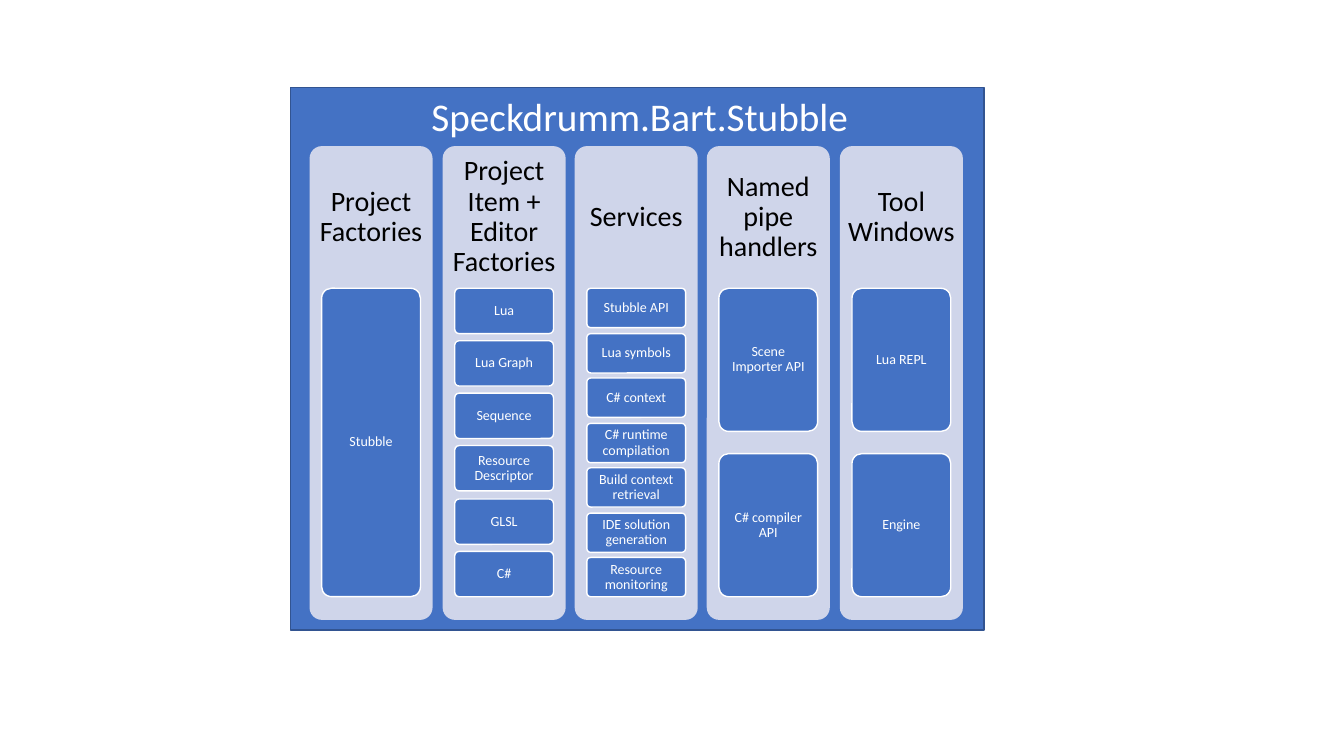
from dataclasses import dataclass

import pptx
import pptx.dml.color
import pptx.enum.shapes
import pptx.enum.text
import pptx.util

PX = 9144  # EMU in one px, 100 px to the inch
COLORS = {
    "blue": "4472C4",
    "edge": "325491",
    "pale": "CFD5EA",
    "white": "FFFFFF",
    "black": "000000",
}
SHAPES = pptx.enum.shapes.MSO_SHAPE
ANCHOR = pptx.enum.text.MSO_ANCHOR
CENTER = pptx.enum.text.PP_ALIGN.CENTER

COLUMN_LEFT, COLUMN_SPAN, COLUMN_TOP = 307, 526, 145
COLUMN_WIDTH, COLUMN_HEIGHT, HEADING_HEIGHT = 122, 470, 141
ITEM_INDENT, ITEM_TOP, ITEM_WIDTH, STACK_HEIGHT = 12, 286, 98, 306
GAP_RATIO = 2 / 13  # gap between items as a share of item height


@dataclass(frozen=True)
class Box:
    left: int
    top: int
    width: int
    height: int

    def emu(self) -> tuple[int, int, int, int]:
        return self.left * PX, self.top * PX, self.width * PX, self.height * PX


@dataclass(frozen=True)
class Column:
    heading: str
    items: tuple[str, ...]


@dataclass(frozen=True)
class TextStyle:
    size: int
    color: str
    anchor: ANCHOR
    inset_x: int
    inset_y: int
    line_spacing: float


TITLE_STYLE = TextStyle(28, "white", ANCHOR.TOP, 10, 5, 1.0)
HEADING_STYLE = TextStyle(20, "black", ANCHOR.MIDDLE, 7, 8, 0.9)
ITEM_STYLE = TextStyle(10, "white", ANCHOR.MIDDLE, 3, 2, 0.9)

COLUMNS = (
    Column("Project Factories", ("Stubble",)),
    Column("Project Item + Editor Factories",
           ("Lua", "Lua Graph", "Sequence", "Resource Descriptor", "GLSL", "C#")),
    Column("Services",
           ("Stubble API", "Lua symbols", "C# context", "C# runtime compilation",
            "Build context retrieval", "IDE solution generation",
            "Resource monitoring")),
    Column("Named pipe handlers", ("Scene Importer API", "C# compiler API")),
    Column("Tool Windows", ("Lua REPL", "Engine")),
)


def rgb(name: str) -> pptx.dml.color.RGBColor:
    return pptx.dml.color.RGBColor.from_string(COLORS[name])


def apply(target, values: dict) -> None:
    for attribute, value in values.items():
        setattr(target, attribute, value)


def write(shape, text: str, style: TextStyle) -> None:
    frame = shape.text_frame
    frame.text = text
    apply(frame, {
        "word_wrap": True,
        "auto_size": pptx.enum.text.MSO_AUTO_SIZE.NONE,
        "vertical_anchor": style.anchor,
        "margin_left": style.inset_x * PX,
        "margin_right": style.inset_x * PX,
        "margin_top": style.inset_y * PX,
        "margin_bottom": style.inset_y * PX,
    })
    paragraph = frame.paragraphs[0]
    apply(paragraph, {"alignment": CENTER, "line_spacing": style.line_spacing})
    font = paragraph.runs[0].font
    apply(font, {"name": "Calibri", "size": pptx.util.Pt(style.size)})
    font.color.rgb = rgb(style.color)


def add_panel(slide, kind: SHAPES, box: Box, fill: str, line: str | None = None):
    panel = slide.shapes.add_shape(kind, *box.emu())
    panel.shadow.inherit = False
    panel.fill.solid()
    panel.fill.fore_color.rgb = rgb(fill)
    if line:
        panel.line.color.rgb = rgb(line)
        panel.line.width = pptx.util.Pt(1)
    else:
        panel.line.fill.background()
    if kind == SHAPES.ROUNDED_RECTANGLE:
        panel.adjustments[0] = 0.1
    return panel


def add_column(slide, column: Column, left: int) -> None:
    add_panel(slide, SHAPES.ROUNDED_RECTANGLE,
              Box(left, COLUMN_TOP, COLUMN_WIDTH, COLUMN_HEIGHT), "pale")
    heading_box = Box(left, COLUMN_TOP, COLUMN_WIDTH, HEADING_HEIGHT)
    heading = slide.shapes.add_textbox(*heading_box.emu())
    write(heading, column.heading, HEADING_STYLE)

    # Items share the stack height equally
    count = len(column.items)
    height = STACK_HEIGHT / (count + (count - 1) * GAP_RATIO)
    for row, label in enumerate(column.items):
        top = round(ITEM_TOP + row * height * (1 + GAP_RATIO))
        box = Box(left + ITEM_INDENT, top, ITEM_WIDTH, round(height))
        item = add_panel(slide, SHAPES.ROUNDED_RECTANGLE, box, "blue", "white")
        write(item, label, ITEM_STYLE)


def main() -> None:
    deck = pptx.Presentation()
    apply(deck, {"slide_width": 1333 * PX, "slide_height": 750 * PX})
    slide = deck.slides.add_slide(deck.slide_layouts.get_by_name("Title Only"))

    # Outer frame, with the title in front of it
    frame = add_panel(slide, SHAPES.RECTANGLE, Box(288, 87, 688, 538), "blue", "edge")
    title = slide.shapes.title
    frame.element.addnext(title.element)
    apply(title, dict(zip(("left", "top", "width", "height"),
                          Box(299, 87, 671, 57).emu())))
    write(title, "Speckdrumm.Bart.Stubble", TITLE_STYLE)

    # Columns at equal steps
    for index, column in enumerate(COLUMNS):
        left = COLUMN_LEFT + round(index * COLUMN_SPAN / (len(COLUMNS) - 1))
        add_column(slide, column, left)

    deck.save("out.pptx")


if __name__ == "__main__":
    main()
